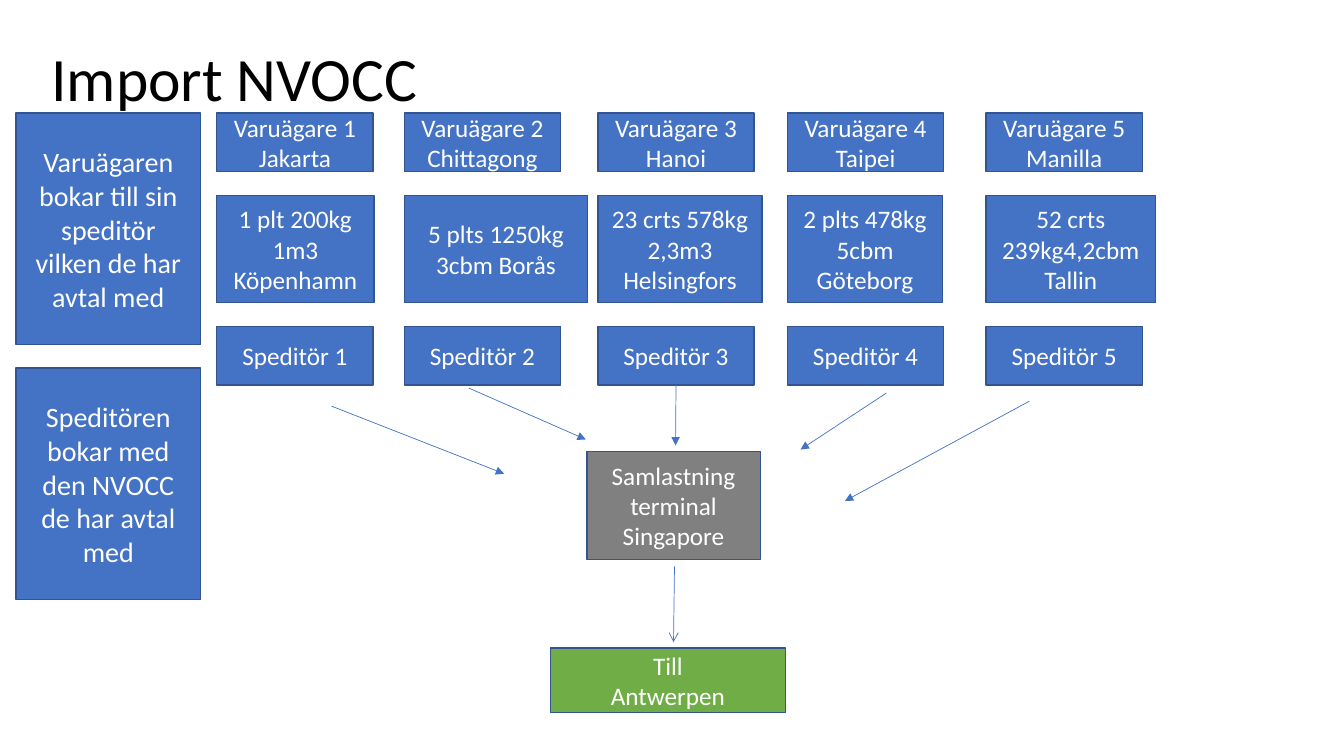
from lxml import etree
from pptx import Presentation
from pptx.dml.color import RGBColor
from pptx.enum import shapes, text
from pptx.oxml import ns
from pptx.util import Inches, Pt

FONT = "Calibri"
BLUE, OUTLINE, GREY, GREEN = "4472C4", "325491", "808080", "70AD47"
HEADING = "Import NVOCC"

SHIPMENTS = [
    (2.15, "Jakarta", "1 plt 200kg 1m3 Köpenhamn", 1.56),
    (4.01, "Chittagong", "5 plts 1250kg 3cbm Borås", 1.82),
    (5.93, "Hanoi", "23 crts 578kg 2,3m3\nHelsingfors", 1.63),
    (7.81, "Taipei", "2 plts 478kg 5cbm\nGöteborg", 1.54),
    (9.78, "Manilla", "52 crts 239kg4,2cbm Tallin", 1.68),
]
BOOKING_STEPS = [
    "Varuägaren bokar till sin speditör vilken de har avtal med",
    "Speditören bokar med den NVOCC de har avtal med",
]
TERMINAL = "Samlastning terminal\nSingapore"
DESTINATION = "Till\nAntwerpen"
ARROWS_TO_TERMINAL = [
    (3.29, 4.03, 5, 4.7),
    (4.65, 3.85, 5.81, 4.36),
    (6.7, 3.82, 6.7, 4.42),
    (8.79, 3.9, 7.94, 4.46),
    (10.21, 3.98, 8.38, 4.97),
]
ARROW_TO_DESTINATION = (6.69, 5.62, 6.68, 6.37)
JOINED_FORWARDER = 2

OWNER_TOP, CARGO_TOP, FORWARDER_TOP = 1.12, 1.94, 3.24
LABEL_WIDTH, LABEL_HEIGHT, CARGO_HEIGHT = 1.55, 0.58, 1.06
STEP_LEFT, STEP_WIDTH, STEP_HEIGHT, STEP_PITCH = 0.16, 1.83, 2.3, 2.53


def color(value):
    return RGBColor.from_string(value)


def format_text(frame, size, ink, align):
    frame.word_wrap = True
    frame.vertical_anchor = text.MSO_ANCHOR.MIDDLE
    for paragraph in frame.paragraphs:
        paragraph.alignment = align
        for run in paragraph.runs:
            run.font.name = FONT
            run.font.size = Pt(size)
            run.font.color.rgb = color(ink)


def add_box(slide, words, left, top, width, height, fill=BLUE, size=18):
    box = slide.shapes.add_shape(
        shapes.MSO_SHAPE.RECTANGLE, *map(Inches, (left, top, width, height)))
    box.shadow.inherit = False
    box.fill.solid()
    box.fill.fore_color.rgb = color(fill)
    box.line.color.rgb = color(OUTLINE)
    box.line.width = Pt(1)
    box.text_frame.text = words
    format_text(box.text_frame, size, "FFFFFF", text.PP_ALIGN.CENTER)
    return box


def add_arrow(slide, ends, head="triangle"):
    arrow = slide.shapes.add_connector(
        shapes.MSO_CONNECTOR.STRAIGHT, *map(Inches, ends))
    arrow.line.color.rgb = color(BLUE)
    arrow.line.width = Pt(0.5)
    etree.SubElement(arrow.line._get_or_add_ln(), ns.qn("a:tailEnd"), type=head)
    etree.SubElement(arrow._element.spPr, ns.qn("a:effectLst"))
    return arrow


def main():
    deck = Presentation()
    deck.slide_width, deck.slide_height = Inches(13.33), Inches(7.5)
    slide = deck.slides.add_slide(deck.slide_layouts[5])

    title = slide.shapes.title
    title.left, title.top, title.width, title.height = map(
        Inches, (0.41, 0.08, 11.5, 1.45))
    title.text_frame.text = HEADING
    format_text(title.text_frame, 44, "000000", text.PP_ALIGN.LEFT)
    title.text_frame.paragraphs[0].line_spacing = 0.9

    add_box(slide, TERMINAL, 5.82, 4.48, 1.72, 1.07, GREY)
    add_box(slide, DESTINATION, 5.46, 6.43, 2.33, 0.64, GREEN)
    add_arrow(slide, ARROW_TO_DESTINATION, "arrow")

    forwarders = []
    for number, (left, port, cargo, cargo_width) in enumerate(SHIPMENTS, 1):
        add_box(slide, f"Varuägare {number}\n{port}",
                left, OWNER_TOP, LABEL_WIDTH, LABEL_HEIGHT)
        add_box(slide, cargo, left, CARGO_TOP, cargo_width, CARGO_HEIGHT)
        forwarders.append(add_box(slide, f"Speditör {number}",
                                  left, FORWARDER_TOP, LABEL_WIDTH, LABEL_HEIGHT))

    arrows = [add_arrow(slide, ends) for ends in ARROWS_TO_TERMINAL]
    arrows[JOINED_FORWARDER].begin_connect(forwarders[JOINED_FORWARDER], 2)

    for index, step in enumerate(BOOKING_STEPS):
        add_box(slide, step, STEP_LEFT, OWNER_TOP + index * STEP_PITCH,
                STEP_WIDTH, STEP_HEIGHT, size=20)

    deck.save("out.pptx")


if __name__ == "__main__":
    main()
